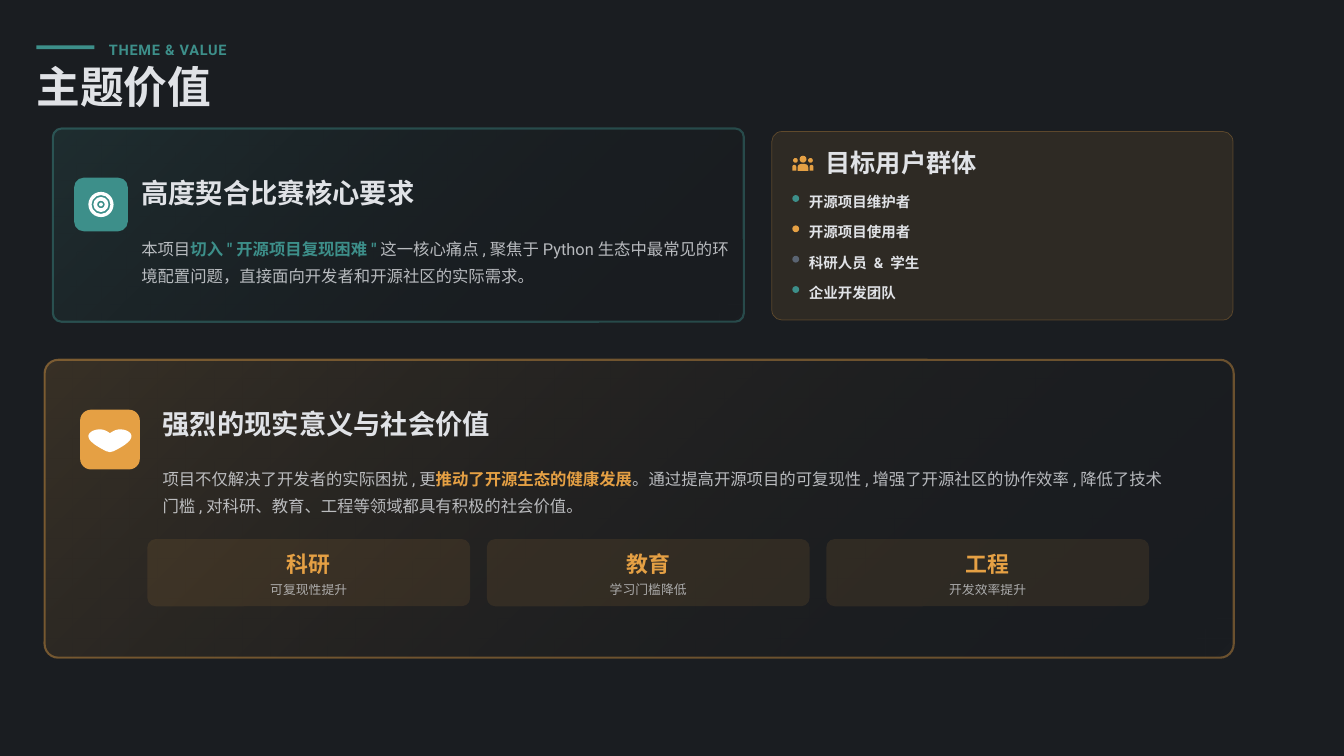
import pptx
import pptx.dml.color
import pptx.enum.shapes
import pptx.enum.text
import pptx.oxml
import pptx.oxml.ns
import pptx.util

Pt = pptx.util.Pt
SHAPE = pptx.enum.shapes.MSO_SHAPE
ALIGN = pptx.enum.text.PP_ALIGN
TEAL, AMBER, SLATE = "3D8F8A", "E5A044", "5A6472"
LIGHT, WHITE, BACKGROUND = "E0E2E6", "FFFFFF", "1A1D21"
HEADING_FONT, BODY_FONT = "Noto Sans CJK SC", "Roboto"


def color(value):
    """Return the RGB color for a hex string."""
    return pptx.dml.color.RGBColor.from_string(value)


def set_alpha(element, *percentages):
    """Give the RGB colors below an element their opacities, in order."""
    for node, percentage in zip(element.iter(pptx.oxml.ns.qn("a:srgbClr")), percentages):
        alpha = pptx.oxml.parse_xml(
            f'<a:alpha {pptx.oxml.ns.nsdecls("a")} val="{percentage * 1000}"/>')
        node.append(alpha)


def add_block(shapes, kind, left, top, width, height, fill, alpha=100, radius=0):
    """Add a borderless filled preset shape, with a corner radius if given."""
    shape = shapes.add_shape(kind, Pt(left), Pt(top), Pt(width), Pt(height))
    shape.shadow.inherit = False
    shape.line.fill.background()
    shape.fill.solid()
    shape.fill.fore_color.rgb = color(fill)
    if alpha < 100:
        set_alpha(shape.fill.fore_color._xFill, alpha)
    if radius:
        shape.adjustments[0] = radius / min(width, height)
    return shape


def set_border(shape, value, width, alpha):
    """Outline a shape with a translucent line."""
    shape.line.color.rgb = color(value)
    shape.line.width = Pt(width)
    set_alpha(shape.line._ln, alpha)


def add_text(shapes, left, top, width, height, runs, size, font=BODY_FONT,
             spacing=1.0, align=ALIGN.LEFT):
    """Add a text box of (text, color, opacity, bold) runs and return its paragraph."""
    box = shapes.add_textbox(Pt(left), Pt(top), Pt(width), Pt(height))
    frame = box.text_frame
    frame.word_wrap = True
    frame.vertical_anchor = pptx.enum.text.MSO_ANCHOR.MIDDLE
    frame.margin_left = frame.margin_top = frame.margin_right = frame.margin_bottom = 0
    paragraph = frame.paragraphs[0]
    paragraph.alignment = align
    paragraph.line_spacing = spacing
    for text, value, alpha, bold in runs:
        run = paragraph.add_run()
        run.text = text
        run.font.size = Pt(size)
        run.font.bold = bold
        run.font.name = font
        run.font.color.rgb = color(value)
        properties = run._r.get_or_add_rPr()
        if alpha < 100:
            set_alpha(properties, alpha)
        properties.append(pptx.oxml.parse_xml(
            f'<a:ea {pptx.oxml.ns.nsdecls("a")} typeface="{font}"/>'))
    return paragraph


def add_header(shapes, left, top):
    """Add the accent bar, the section label and the slide title."""
    add_block(shapes, SHAPE.RECTANGLE, left, top + 8.6, 55.4, 3.6, TEAL)
    label = add_text(shapes, left + 69.1, top, 124, 20.9,
                     [("THEME & VALUE", TEAL, 100, True)], 13.8, spacing=1.3)
    label.runs[0].font._element.set("spc", "70")
    add_text(shapes, left, top + 31, 1231, 41.8,
             [("主题价值", LIGHT, 100, True)], 41.6, HEADING_FONT, 0.8)


def add_target(shapes, center_x, center_y):
    """Add a target icon of two rings and a dot."""
    for kind, size, thickness in ((SHAPE.DONUT, 24, 3), (SHAPE.DONUT, 14.4, 3.6),
                                  (SHAPE.OVAL, 3.6, 0)):
        add_block(shapes, kind, center_x - size / 2, center_y - size / 2,
                  size, size, WHITE, radius=thickness)


def add_heart(shapes, center_x, center_y):
    """Add a wide heart icon, mirrored from the curves of its right half."""
    curves = [((0, -6.1), (3.2, -8.3), (6.1, -9.7), (9.7, -9.7)),
              ((9.7, -9.7), (15.5, -9.7), (20.5, -6.8), (20.5, -3.2)),
              ((20.5, -3.2), (20.5, 2.5), (9, 8.3), (3.2, 11.2)),
              ((3.2, 11.2), (2.5, 11.2), (1.1, 11.9), (0, 11.9))]
    half = []
    for curve in curves:
        for step in range(13):
            t = step / 12
            weights = ((1 - t) ** 3, 3 * t * (1 - t) ** 2, 3 * t * t * (1 - t), t ** 3)
            half.append([sum(w * point[axis] for w, point in zip(weights, curve))
                         for axis in (0, 1)])
    outline = half + [[-x, y] for x, y in reversed(half)]
    points = [(Pt(center_x + x), Pt(center_y + y)) for x, y in outline]
    builder = shapes.build_freeform(*points[0])
    builder.add_line_segments(points[1:], close=True)
    heart = builder.convert_to_shape()
    heart.shadow.inherit = False
    heart.fill.solid()
    heart.fill.fore_color.rgb = color(WHITE)
    heart.line.fill.background()


def add_people(shapes, left, top):
    """Add an icon of three people."""
    for x, y, head, body_x, body_y, body_width, body_height in (
            (0.7, 2.9, 4.5, 0, 9.4, 3.8, 5.6),
            (6.9, 0.7, 6.6, 5, 8.6, 10.2, 6.6),
            (15, 2.9, 4.5, 16.4, 9.4, 3.8, 5.6)):
        add_block(shapes, SHAPE.OVAL, left + x, top + y, head, head, AMBER)
        add_block(shapes, SHAPE.ROUND_2_SAME_RECTANGLE, left + body_x, top + body_y,
                  body_width, body_height, AMBER, radius=min(body_width, body_height) / 2)


def add_value_card(shapes, left, top, width, height, accent, radius, tile_x, tile_y,
                   tile_size, add_icon, text_x, title_y, title, body_y, body_width, body):
    """Add a gradient card with an icon tile, a title and a body text."""
    card = add_block(shapes, SHAPE.ROUNDED_RECTANGLE, left, top, width, height,
                     accent, radius=radius)
    card.fill.gradient()
    card.fill.gradient_angle = 315
    for stop, value, position in zip(card.fill.gradient_stops, (accent, "000000"), (0, 1)):
        stop.color.rgb = color(value)
        stop.position = position
    set_alpha(card._element.spPr, 15, 0)
    set_border(card, accent, 2, 40)
    add_block(shapes, SHAPE.ROUNDED_RECTANGLE, left + tile_x, top + tile_y,
              tile_size, tile_size, accent, radius=tile_size * 0.18)
    add_icon(shapes, left + tile_x + tile_size / 2, top + tile_y + tile_size / 2)
    add_text(shapes, left + text_x, top + title_y, body_width + 6, 28.8,
             [(title, LIGHT, 100, True)], 26, HEADING_FONT)
    before, highlight, after = body
    add_text(shapes, left + text_x, top + body_y, body_width, 70.6,
             [(before, LIGHT, 80, False), (highlight, accent, 100, True),
              (after, LIGHT, 80, False)], 15.6, spacing=1.4)


def add_benefit(shapes, left, top, width, height, name, caption):
    """Add a tinted tile with a field and its benefit."""
    add_block(shapes, SHAPE.ROUNDED_RECTANGLE, left, top, width, height, AMBER, 10, 8)
    add_text(shapes, left + 8, top + 9.4, width - 16, 25.9,
             [(name, AMBER, 100, True)], 20.8, spacing=1.1, align=ALIGN.CENTER)
    add_text(shapes, left + 12, top + 38.9, width - 24, 15.8,
             [(caption, LIGHT, 70, False)], 12.2, spacing=1.2, align=ALIGN.CENTER)


def add_audience(shapes, left, top, width, height):
    """Add the card that lists the target users."""
    card = add_block(shapes, SHAPE.ROUNDED_RECTANGLE, left, top, width, height, AMBER, 10, 9.4)
    set_border(card, AMBER, 0.67, 30)
    add_people(shapes, left + 19.5, top + 22.3)
    add_text(shapes, left + 51.1, top + 15.1, width - 51.1, 22.3,
             [("目标用户群体", LIGHT, 100, True)], 24, HEADING_FONT, 1.2)
    users = (("开源项目维护者", TEAL), ("开源项目使用者", AMBER),
             ("科研人员 & 学生", SLATE), ("企业开发团队", TEAL))
    for index, (user, accent) in enumerate(users):
        row = top + 54.7 + index * 28.9
        add_block(shapes, SHAPE.OVAL, left + 19.5, row + 5.8, 6.5, 6.5, accent)
        add_text(shapes, left + 35.3, row, 210, 19.4,
                 [(user, LIGHT, 100, True)], 13.8, spacing=1.3)


def main():
    """Build the slide and save it."""
    presentation = pptx.Presentation()
    presentation.slide_width, presentation.slide_height = Pt(1280), Pt(720)
    slide = presentation.slides.add_slide(presentation.slide_layouts[6])
    slide.background.fill.solid()
    slide.background.fill.fore_color.rgb = color(BACKGROUND)
    shapes = slide.shapes
    add_header(shapes, 34.6, 34.6)
    add_value_card(
        shapes, 50.4, 122.4, 658, 184, TEAL, 8, 20.2, 46.8, 51.1, add_target,
        84.2, 46.8, "高度契合比赛核心要求", 88.6, 561.6,
        ("本项目", "切入\"开源项目复现困难\"",
         "这一核心痛点,聚焦于Python生态中最常见的环境配置问题，直接面向开发者和开源社区的实际需求。"))
    add_value_card(
        shapes, 42.5, 342.7, 1132.5, 283.7, AMBER, 13, 33.8, 47.5, 56.9, add_heart,
        112.3, 46.1, "强烈的现实意义与社会价值", 87.1, 965.5,
        ("项目不仅解决了开发者的实际困扰,更", "推动了开源生态的健康发展",
         "。通过提高开源项目的可复现性,增强了开源社区的协作效率,降低了技术门槛,"
         "对科研、教育、工程等领域都具有积极的社会价值。"))
    benefits = (("科研", "可复现性提升"), ("教育", "学习门槛降低"), ("工程", "开发效率提升"))
    for index, (name, caption) in enumerate(benefits):
        add_benefit(shapes, 140.4 + index * 323.3, 513.4, 307.4, 64, name, caption)
    add_audience(shapes.add_group_shape().shapes, 735.1, 125.3, 439.2, 179.5)
    presentation.save("out.pptx")


if __name__ == "__main__":
    main()
